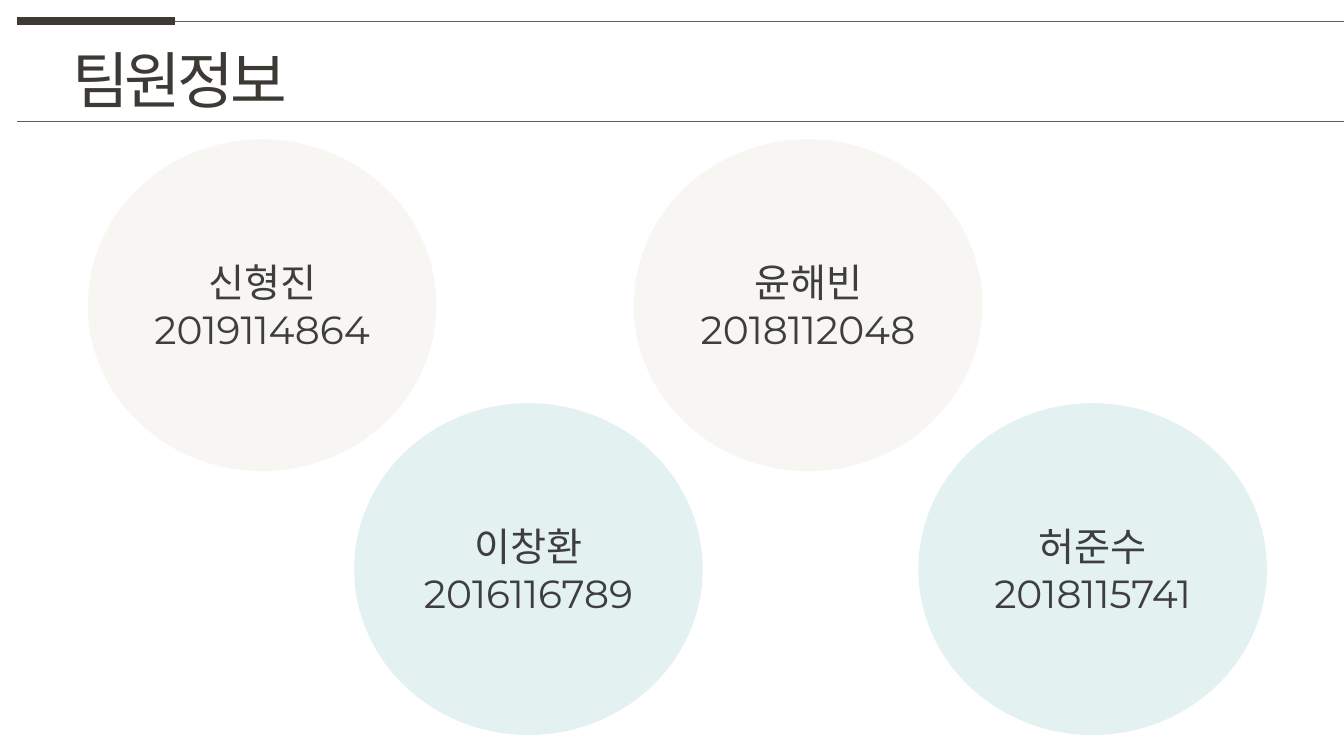
import dataclasses

import lxml.etree
import pptx
import pptx.dml.color
import pptx.enum.lang
import pptx.enum.shapes
import pptx.enum.text
import pptx.oxml.ns
import pptx.presentation
import pptx.shapes.autoshape
import pptx.slide
import pptx.text.text
import pptx.util

Pt = pptx.util.Pt
qn = pptx.oxml.ns.qn

FONT = "Montserrat"
HUES = {
    "title": "3D3A35",
    "rule": "5F5F5D",
    "text": "3E3E3D",
    "sand": "F2EFE9",
    "mint": "C8E4E5",
}
WIDE, HIGH = 249, 237  # size of a member circle
UPPER, LOWER = 99.5, 288  # tops of the two rows


@dataclasses.dataclass
class Rule:
    left: float
    right: float
    top: float
    hue: str
    width: float


@dataclasses.dataclass
class Member:
    name: str
    number: str
    left: float
    top: float
    hue: str


RULES = [
    Rule(12.5, 125, 15, "title", 6),
    Rule(125, 960, 15, "rule", 0.5),
    Rule(12.5, 960, 87, "rule", 0.5),
]
MEMBERS = [
    Member("신형진", "2019114864", 62.75, UPPER, "sand"),
    Member("윤해빈", "2018112048", 452.75, UPPER, "sand"),
    Member("이창환", "2016116789", 253, LOWER, "mint"),
    Member("허준수", "2018115741", 656, LOWER, "mint"),
]


def color(hue: str) -> pptx.dml.color.RGBColor:
    return pptx.dml.color.RGBColor.from_string(HUES[hue])


def style(run: pptx.text.text._Run, size: float, hue: str) -> None:
    font = run.font
    font.size = Pt(size)
    font.name = FONT
    font.color.rgb = color(hue)
    font.language_id = pptx.enum.lang.MSO_LANGUAGE_ID.KOREAN
    # Use the same face for Korean letters
    asian = lxml.etree.SubElement(run._r.get_or_add_rPr(), qn("a:ea"))
    asian.set("typeface", FONT)


def add_rule(slide: pptx.slide.Slide, rule: Rule) -> None:
    line = slide.shapes.add_connector(
        pptx.enum.shapes.MSO_CONNECTOR.STRAIGHT,
        Pt(rule.left), Pt(rule.top), Pt(rule.right), Pt(rule.top),
    )
    line.line.color.rgb = color(rule.hue)
    line.line.width = Pt(rule.width)
    lxml.etree.SubElement(line._element.spPr, qn("a:effectLst"))


def set_title(slide: pptx.slide.Slide, text: str) -> None:
    title = slide.shapes.title
    title.left, title.top = Pt(44.5), Pt(26.5)
    title.width, title.height = Pt(180), Pt(60.5)
    frame = title.text_frame
    frame.text = text
    frame.word_wrap = False
    frame.auto_size = pptx.enum.text.MSO_AUTO_SIZE.SHAPE_TO_FIT_TEXT
    frame.vertical_anchor = pptx.enum.text.MSO_ANCHOR.TOP
    para = frame.paragraphs[0]
    para.alignment = pptx.enum.text.PP_ALIGN.LEFT
    run = para.runs[0]
    style(run, 44, "title")
    run._r.get_or_add_rPr().set("spc", "-300")


def add_member(slide: pptx.slide.Slide, member: Member) -> None:
    disc = slide.shapes.add_shape(
        pptx.enum.shapes.MSO_SHAPE.OVAL,
        Pt(member.left), Pt(member.top), Pt(WIDE), Pt(HIGH),
    )
    disc.shadow.inherit = False
    disc.line.fill.background()
    disc.fill.solid()
    disc.fill.fore_color.rgb = color(member.hue)
    # Half transparent fill
    tint = disc._element.spPr.find(qn("a:solidFill"))[0]
    lxml.etree.SubElement(tint, qn("a:alpha")).set("val", "50000")

    frame = disc.text_frame
    frame.text = f"{member.name}\n{member.number}"
    frame.vertical_anchor = pptx.enum.text.MSO_ANCHOR.MIDDLE
    for para in frame.paragraphs:
        para.alignment = pptx.enum.text.PP_ALIGN.CENTER
        style(para.runs[0], 28, "text")


def main() -> None:
    deck = pptx.Presentation()
    deck.slide_width, deck.slide_height = Pt(960), Pt(540)
    slide = deck.slides.add_slide(deck.slide_layouts.get_by_name("Title Only"))

    # Header
    set_title(slide, "팀원정보")
    for rule in RULES:
        add_rule(slide, rule)

    # Team members
    for member in MEMBERS:
        add_member(slide, member)

    deck.save("out.pptx")


if __name__ == "__main__":
    main()
